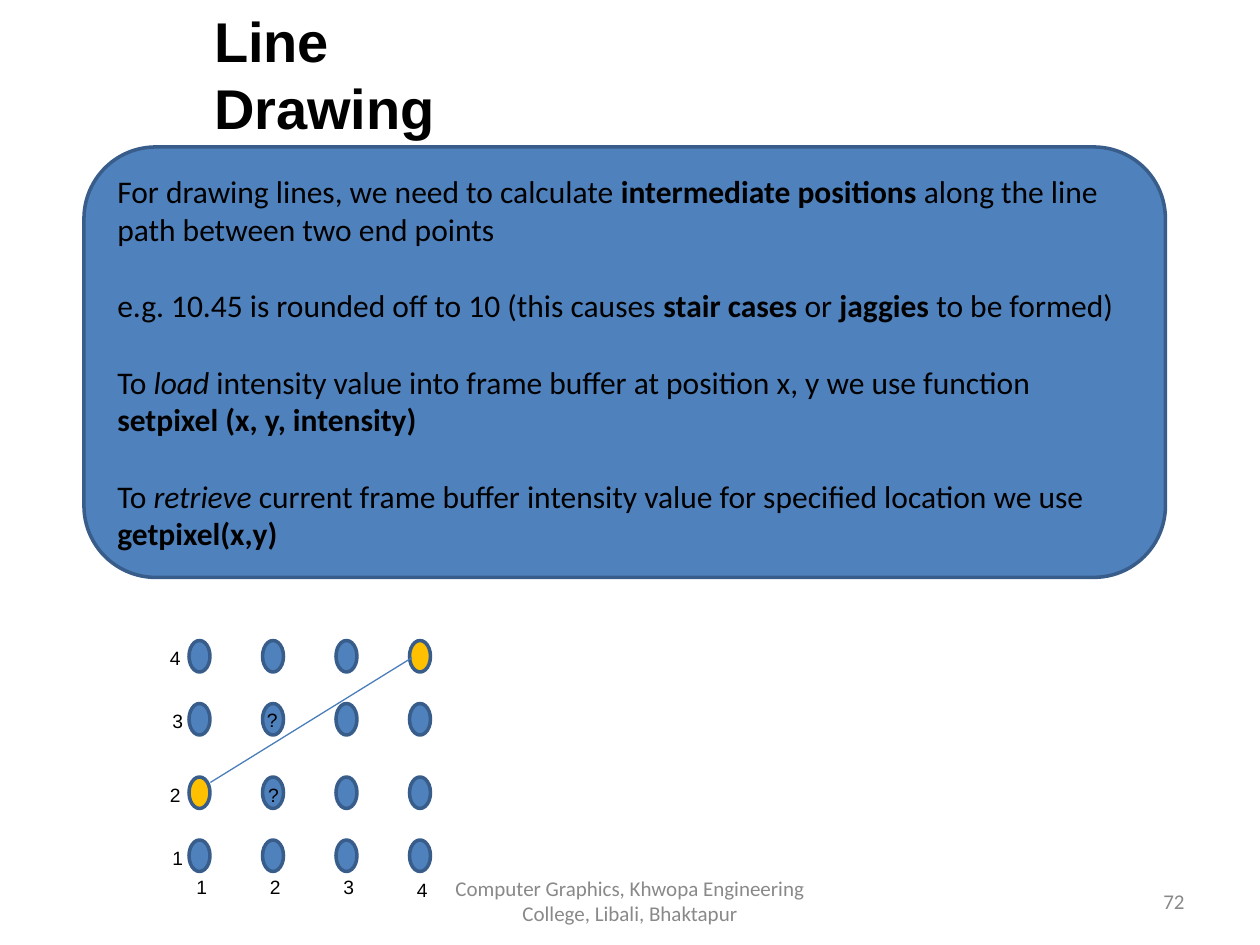
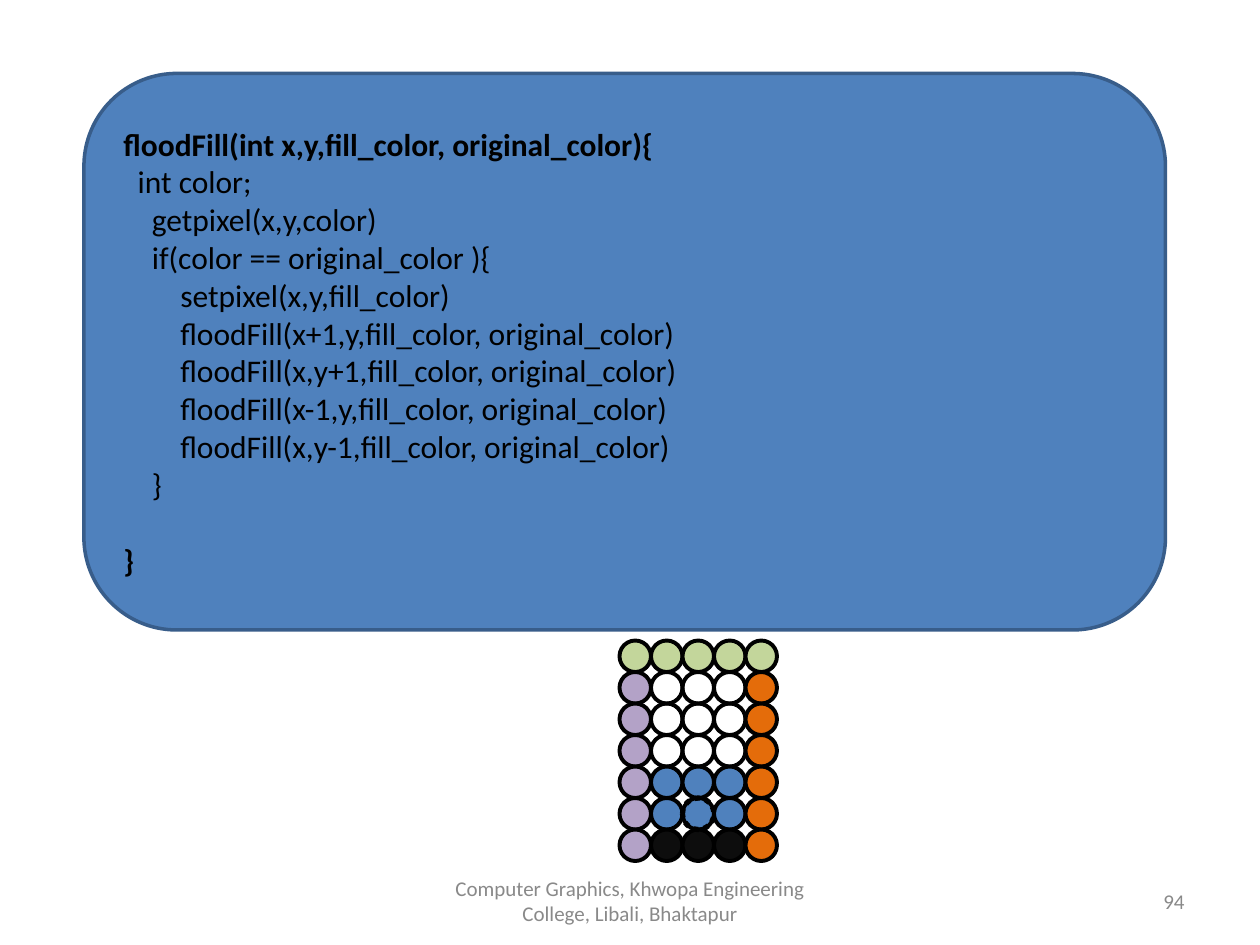
"""Build two computer graphics slides: line drawing and flood fill."""
from pptx import Presentation, util as u
from pptx.dml.color import RGBColor
from pptx.enum import dml, shapes, text
from pptx.oxml.ns import qn
from lxml import etree

BLACK = RGBColor(0x00, 0x00, 0x00)
INK = RGBColor(0x0D, 0x0D, 0x0D)
GRAY = RGBColor(0x89, 0x89, 0x89)
BLUE = RGBColor(0x4F, 0x81, 0xBD)
DARK_BLUE = RGBColor(0x38, 0x5D, 0x8A)
LINE_BLUE = RGBColor(0x4A, 0x7E, 0xBB)
GOLD = RGBColor(0xFF, 0xC0, 0x00)
GREEN = RGBColor(0xC3, 0xD6, 0x9B)
PURPLE = RGBColor(0xB3, 0xA2, 0xC7)
ORANGE = RGBColor(0xE4, 0x6C, 0x0A)

COLUMNS, ROWS = 120, 90
BODY_FONT, LABEL_FONT = "Calibri", "Arial"
BODY_SIZE, BLANK_LINE = 18, 22
FOOTER = "Computer Graphics, Khwopa Engineering College, Libali, Bhaktapur"
ALIGN = text.PP_ALIGN

EXPLANATION = [
    (0, [("For drawing lines, we need to calculate ", ""), ("intermediate positions ", "b"),
         ("along the line path between two end points", "")]),
    (BLANK_LINE, [("e.g. 10.45 is rounded off to 10 (this causes ", ""), ("stair cases ", "b"),
                  ("or ", ""), ("jaggies", "b"), (" to be formed)", "")]),
    (BLANK_LINE, [("To ", ""), ("load", "i"),
                  (" intensity value into frame buffer at position x, y we use function", "")]),
    (0, [("setpixel (x, y, intensity)", "b")]),
    (BLANK_LINE, [("To ", ""), ("retrieve", "i"),
                  (" current frame buffer intensity value for specified location we use ", ""),
                  ("getpixel(x,y)", "b")]),
]

FLOOD_FILL_BODY = """\
  int color;
    getpixel(x,y,color)
    if(color == original_color ){
        setpixel(x,y,fill_color)
        floodFill(x+1,y,fill_color, original_color)
        floodFill(x,y+1,fill_color, original_color)
        floodFill(x-1,y,fill_color, original_color)
        floodFill(x,y-1,fill_color, original_color)
    }"""

DOT_COLUMNS = [18, 25, 32, 39]
DOT_ROWS = [61, 67, 74, 80]
END_POINTS = {(18, 74), (39, 61)}
ROW_LABELS = [("4", 15), ("3", 15.24), ("2", 15), ("1", 15.24)]
COLUMN_LABEL_ROWS = [82.8, 82.8, 82.8, 83.04]
QUESTION_MARKS = [(24.24, 66.84), (24.36, 74.04)]

PIXEL_COLORS = {"G": GREEN, "P": PURPLE, "O": ORANGE, "B": BLUE, "K": INK, ".": None}
PIXEL_ROWS = ["GGGGG", "P...O", "P...O", "P...O", "PBBBO", "PBBBO", "PKKKO"]
PIXEL_LEFT, PIXEL_TOP, PIXEL_SIZE = 59, 61, 3
SEED_COLUMN, SEED_ROW = 2, 5


class Deck:
    """Holds the presentation style and the slide being drawn."""

    def __init__(self):
        self.presentation = Presentation()
        self.presentation.slide_width = u.Inches(10)
        self.presentation.slide_height = u.Inches(7.5)
        self.slide = None

    def x(self, columns):
        return round(self.presentation.slide_width * columns / COLUMNS)

    def y(self, rows):
        return round(self.presentation.slide_height * rows / ROWS)

    def box(self, left, top, width, height):
        return self.x(left), self.y(top), self.x(width), self.y(height)

    def new_slide(self, number):
        self.slide = self.presentation.slides.add_slide(self.presentation.slide_layouts[6])
        self.footer(number, (86, 83.4, 28, 4.8), ALIGN.RIGHT)
        self.footer(FOOTER, (41, 83.4, 38, 4.8), ALIGN.CENTER)

    def add_text(self, frame, paragraphs, size, font, color=BLACK, align=ALIGN.LEFT):
        for index, (space_before, runs) in enumerate(paragraphs):
            paragraph = frame.add_paragraph() if index else frame.paragraphs[0]
            paragraph.alignment = align
            if space_before:
                paragraph.space_before = u.Pt(space_before)
            for words, style in runs:
                run = paragraph.add_run()
                run.text = words
                run.font.size = u.Pt(size)
                run.font.name = font
                run.font.color.rgb = color
                run.font.bold = "b" in style
                run.font.italic = "i" in style

    def footer(self, words, place, align):
        frame = self.slide.shapes.add_textbox(*self.box(*place)).text_frame
        frame.word_wrap = True
        frame.vertical_anchor = text.MSO_ANCHOR.MIDDLE
        self.add_text(frame, [(0, [(words, "")])], 12, BODY_FONT, GRAY, align)

    def label(self, words, left, top, width=3.36, height=3.48, size=11, style=""):
        frame = self.slide.shapes.add_textbox(*self.box(left, top, width, height)).text_frame
        frame.word_wrap = False
        frame.auto_size = text.MSO_AUTO_SIZE.SHAPE_TO_FIT_TEXT
        self.add_text(frame, [(0, [(words, style)])], size, LABEL_FONT)

    def shape(self, kind, place, fill, outline, weight):
        shape = self.slide.shapes.add_shape(kind, *self.box(*place))
        shape.shadow.inherit = False
        if fill is None:
            shape.fill.background()
        else:
            shape.fill.solid()
            shape.fill.fore_color.rgb = fill
        shape.line.color.rgb = outline
        shape.line.width = u.Pt(weight)
        return shape

    def panel(self, top, height, paragraphs):
        shape = self.shape(shapes.MSO_SHAPE.ROUNDED_RECTANGLE, (8, top, 103, height),
                           BLUE, DARK_BLUE, 2)
        frame = shape.text_frame
        frame.word_wrap = True
        frame.vertical_anchor = text.MSO_ANCHOR.MIDDLE
        self.add_text(frame, paragraphs, BODY_SIZE, BODY_FONT)

    def dot(self, place, fill, outline=BLACK, weight=2.25):
        return self.shape(shapes.MSO_SHAPE.OVAL, place, fill, outline, weight)

    def line(self, start, end):
        connector = self.slide.shapes.add_connector(
            shapes.MSO_CONNECTOR.STRAIGHT,
            self.x(start[0]), self.y(start[1]), self.x(end[0]), self.y(end[1]))
        connector.line.color.rgb = LINE_BLUE
        connector.line.width = u.Pt(0.75)
        etree.SubElement(connector.element.spPr, qn("a:effectLst"))


def draw_line_drawing(deck):
    deck.new_slide("72")
    deck.panel(14, 41, EXPLANATION)
    deck.label("Line Drawing", 19.2, 0, 35.88, 14, size=32, style="b")
    for top in DOT_ROWS:
        for left in DOT_COLUMNS:
            fill = GOLD if (left, top) in END_POINTS else BLUE
            deck.dot((left, top, 2, 3), fill, DARK_BLUE, 2)
    for left, top in QUESTION_MARKS:
        deck.label("?", left, top)
    deck.line((20.04, 74.52), (39.24, 62.64))
    for number, (column, top) in enumerate(zip(DOT_COLUMNS, COLUMN_LABEL_ROWS), 1):
        deck.label(str(number), column - 0.48, top)
    for (words, left), top in zip(ROW_LABELS, DOT_ROWS):
        deck.label(words, left, top)


def draw_flood_fill(deck):
    deck.new_slide("94")
    code = [(0, [("floodFill(int x,y,fill_color, original_color){", "b")])]
    code += [(0, [(row, "")]) for row in FLOOD_FILL_BODY.splitlines()]
    code.append((BLANK_LINE, [("}", "b")]))
    deck.panel(7, 53, code)

    def pixel_place(column, row):
        return (PIXEL_LEFT + column * PIXEL_SIZE, PIXEL_TOP + row * PIXEL_SIZE,
                PIXEL_SIZE, PIXEL_SIZE)

    for row, pixels in enumerate(PIXEL_ROWS):
        for column, pixel in enumerate(pixels):
            deck.dot(pixel_place(column, row), PIXEL_COLORS[pixel])
    seed = deck.dot(pixel_place(SEED_COLUMN, SEED_ROW), None, weight=3)
    seed.line.dash_style = dml.MSO_LINE.ROUND_DOT


def main():
    deck = Deck()
    draw_line_drawing(deck)
    draw_flood_fill(deck)
    deck.presentation.save("out.pptx")


if __name__ == "__main__":
    main()
